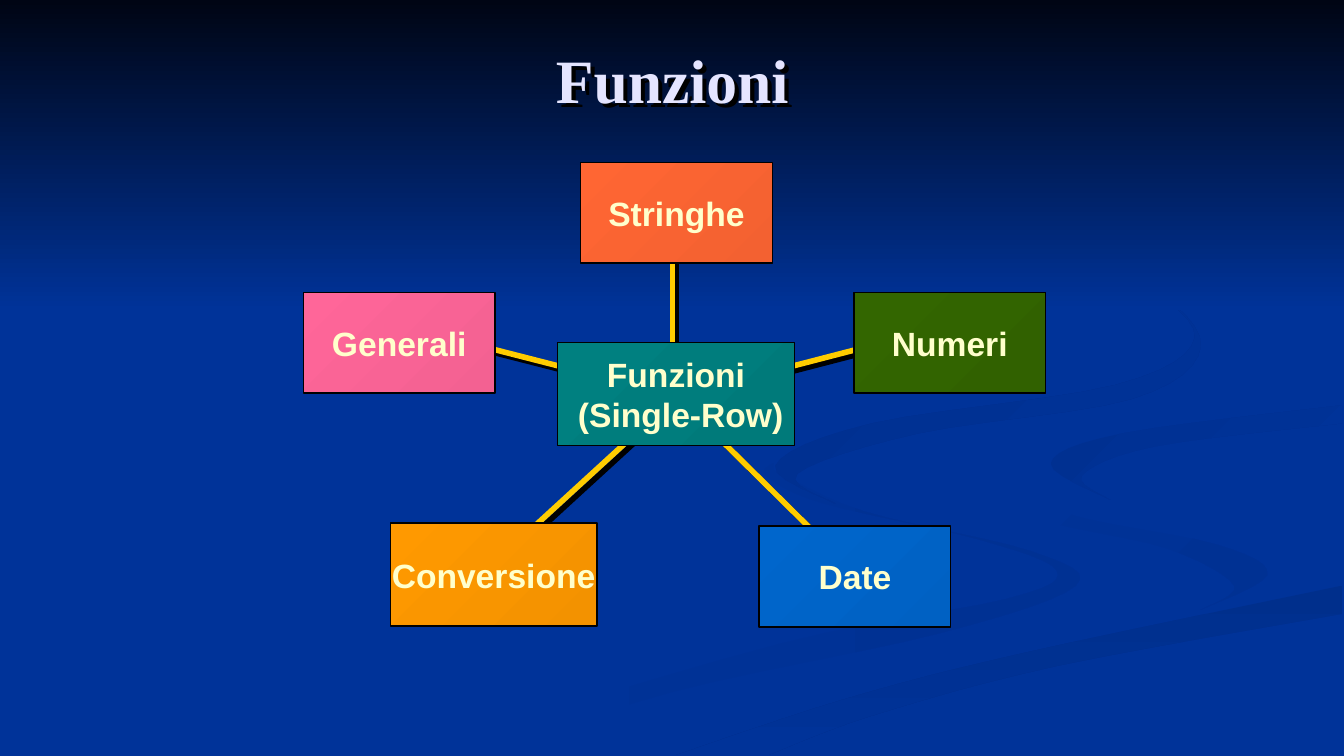
from lxml.etree import SubElement
from pptx import Presentation
from pptx.dml.color import RGBColor
from pptx.enum.shapes import MSO_CONNECTOR, MSO_SHAPE
from pptx.enum.text import MSO_ANCHOR, PP_ALIGN
from pptx.oxml.ns import qn
from pptx.util import Inches, Pt

NAVY = "003399"
HUB = (6.71, 3.93)
STEPS = 6
SWIRLS = [
    ((NAVY, "003193", 0),
     [(7.67, 4.59), (7.6, 4.72), (8.15, 4.99), (9.7, 5.35), (10.48, 5.66),
      (9.99, 5.94), (7.72, 6.39), (4, 7.49)],
     [(4.82, 7.49), (6.65, 6.87), (9.33, 6.28), (10.67, 5.81),
      (10.23, 5.47), (8.56, 5.07), (7.67, 4.66)]),
    ((NAVY, "003193", 45),
     [(11.91, 6.05), (12.57, 5.7), (12.06, 5.4), (10.56, 5.09),
      (9.65, 4.64)],
     [(9.65, 4.64), (10.22, 5.12), (11.57, 5.44), (12.24, 5.81),
      (11.91, 6.05)]),
    (("002F8C", NAVY, 90),
     [(6.71, 7.49), (8.4, 6.93), (10.19, 6.47), (13.31, 5.81)],
     [(13.31, 6.09), (10.47, 6.61), (8.65, 7.1), (7.62, 7.49)]),
    (("003091", NAVY, 45),
     [(11.01, 4.96), (10.42, 4.6), (11.13, 4.3), (13.31, 4.02)],
     [(13.31, 4.2), (11.45, 4.43), (10.73, 4.72), (11.01, 4.96)]),
    (("002F8E", NAVY, 45),
     [(10.17, 2.33), (11.38, 2.83), (11.91, 3.44), (11.22, 3.96),
      (9.11, 4.3), (7.91, 4.7), (8.29, 5)],
     [(8.29, 5), (7.69, 4.62), (8.65, 4.2), (11.06, 3.82), (11.85, 3.35),
      (11.27, 2.79), (10.17, 2.33)]),
]
SPOKES = [((6.67, 3.89), (6.67, 2.33)), (HUB, (4.56, 3.38)),
          (HUB, (8.91, 3.36)), (HUB, (4.8, 5.68)), (HUB, (8.53, 5.73))]
BOXES = [
    (["Conversione"], (3.87, 5.19, 2.05, 1.02), "FF9900", "F39200"),
    (["Stringhe"], (5.76, 1.61, 1.9, 1), "FF6633", "F36131"),
    (["Numeri"], (8.47, 2.9, 1.9, 1), "336600", "316100"),
    (["Date"], (7.53, 5.22, 1.9, 1), "0066CC", "0061C3"),
    (["Generali"], (3.01, 2.9, 1.9, 1), "FF6699", "F36192"),
    (["Funzioni", " (Single-Row)"], (5.53, 3.4, 2.35, 1.02),
     "008080", "007A7A"),
]


def rgb(code):
    """Turn a hex string into a colour."""
    return RGBColor.from_string(code)


def blend(shape, start, end, angle):
    """Fill a shape with a clockwise-angled gradient."""
    shape.shadow.inherit = False
    fill = shape.fill
    fill.gradient()
    fill.gradient_angle = -angle % 360
    for stop, code, place in zip(fill.gradient_stops, (start, end), (0, 1)):
        stop.color.rgb = rgb(code)
        stop.position = place


def shade(props):
    """Add a hard black shadow to shape properties."""
    effect = SubElement(props, qn("a:effectLst"))
    cast = SubElement(effect, qn("a:outerShdw"), blurRad="0",
                      dist=str(Pt(4.2)), dir="2700000", algn="ctr",
                      rotWithShape="0")
    SubElement(cast, qn("a:srgbClr"), val="000000")


def write(frame, lines, size, font, color):
    """Write bold centred paragraphs."""
    for i, line in enumerate(lines):
        para = frame.add_paragraph() if i else frame.paragraphs[0]
        para.alignment = PP_ALIGN.CENTER
        run = para.add_run()
        run.text = line
        run.font.size = Pt(size)
        run.font.bold = True
        run.font.name = font
        run.font.color.rgb = rgb(color)


def mix(a, b, c, d, t):
    """Find a spot on the Catmull-Rom curve from b to c."""
    return (2 * b + (c - a) * t + (2 * a - 5 * b + 4 * c - d) * t ** 2
            + (3 * b - a - 3 * c + d) * t ** 3) / 2


def curve(edge):
    """Trace a smooth curve through the points of an edge."""
    ends = [edge[0], *edge, edge[-1]]
    spots = [tuple(Inches(mix(*axis, step / STEPS)) for axis in zip(*four))
             for four in zip(ends, ends[1:], ends[2:], ends[3:])
             for step in range(STEPS)]
    return spots + [tuple(map(Inches, edge[-1]))]


def swirl(slide, paint, *edges):
    """Draw one background swirl between two edges."""
    spots = [spot for edge in edges for spot in curve(edge)]
    pen = slide.shapes.build_freeform(*spots[0])
    pen.add_line_segments(spots[1:], close=True)
    shape = pen.convert_to_shape()
    blend(shape, *paint)
    shape.line.fill.background()


def block(slide, area, paint):
    """Draw a gradient rectangle."""
    shape = slide.shapes.add_shape(MSO_SHAPE.RECTANGLE, *map(Inches, area))
    blend(shape, *paint)
    return shape


def spoke(slide, start, end):
    """Draw a yellow line with a shadow."""
    line = slide.shapes.add_connector(
        MSO_CONNECTOR.STRAIGHT, *map(Inches, start + end))
    line.line.color.rgb = rgb("FFCC00")
    line.line.width = Pt(4)
    shade(line._element.spPr)


def title(slide, text):
    """Write the shadowed slide title."""
    box = slide.shapes.add_textbox(*map(Inches, (0.67, 0.37, 12, 1.18)))
    box.text_frame.word_wrap = True
    box.fill.background()
    shade(box._element.spPr)
    write(box.text_frame, [text], 44, "Times New Roman", "E5E5FF")


def label(slide, lines, area, start, end):
    """Draw a box with its caption."""
    shape = block(slide, area, (start, end, 45))
    shape.line.color.rgb = rgb("000000")
    shape.line.width = Pt(1)
    frame = shape.text_frame
    frame.word_wrap = False
    frame.vertical_anchor = MSO_ANCHOR.MIDDLE
    write(frame, lines, 24, "Arial", "FFFFCC")


def main():
    """Build and save the slide."""
    deck = Presentation()
    deck.slide_width, deck.slide_height = Inches(13.33), Inches(7.5)
    slide = deck.slides.add_slide(deck.slide_layouts[6])
    slide.background.fill.solid()
    slide.background.fill.fore_color.rgb = rgb(NAVY)
    for parts in SWIRLS:
        swirl(slide, *parts)
    band = block(slide, (0, 0, 13.33, 3.08), ("000514", NAVY, 90))
    band.line.fill.background()
    for start, end in SPOKES:
        spoke(slide, start, end)
    title(slide, "Funzioni")
    for box in BOXES:
        label(slide, *box)
    deck.save("out.pptx")


if __name__ == "__main__":
    main()
